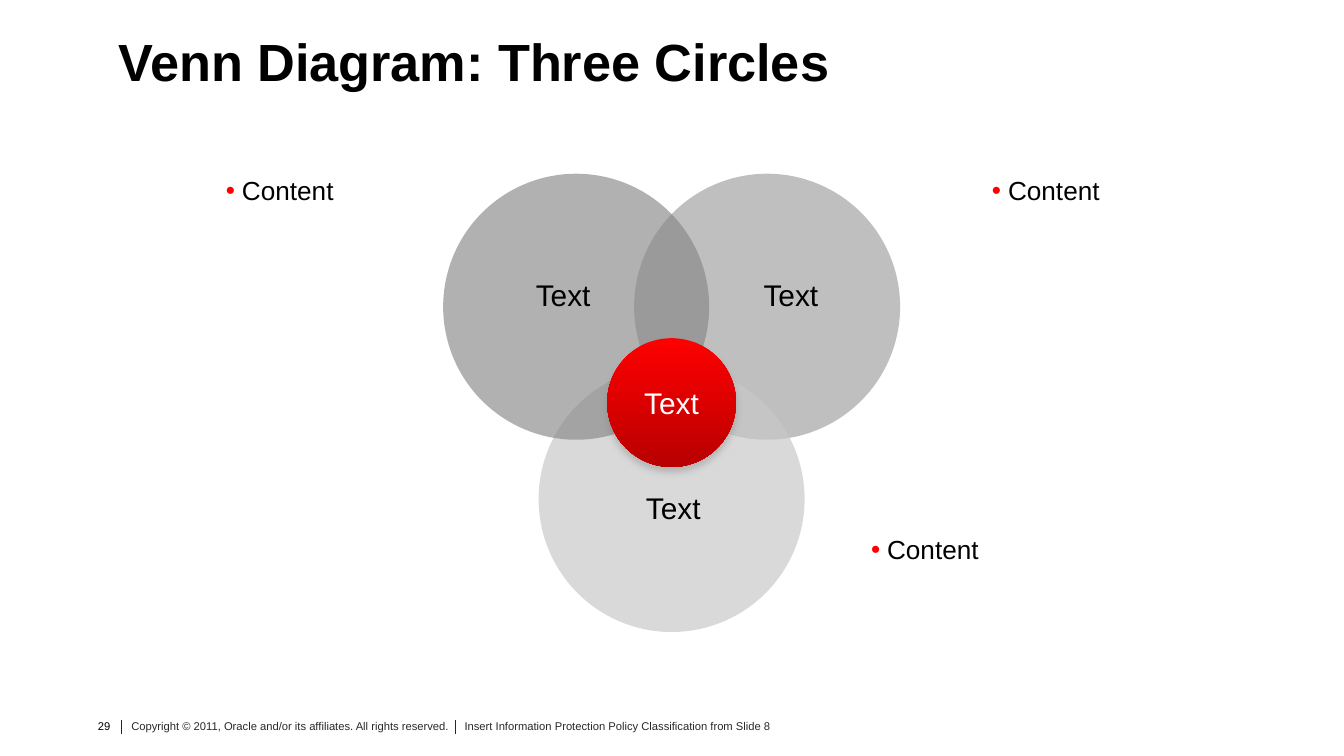
from lxml.etree import SubElement
from pptx import Presentation
from pptx.dml.color import RGBColor
from pptx.enum.shapes import MSO_CONNECTOR, MSO_SHAPE
from pptx.enum.text import MSO_ANCHOR, PP_ALIGN
from pptx.oxml.ns import qn
from pptx.util import Pt

# Content
TITLE = "Venn Diagram: Three Circles"
LEFT, TOP, SIZE = 237.4, 93.1, 142.5   # first circle
STEP, DROP = 102.3, 103                # offsets of the other circles
CORE = 69                              # centre disc
# column, row, colour, opacity %
CIRCLES = [
    (1, 0, "9D9D9D", 65),
    (0.5, 1, "C9C9C9", 69),
    (0, 0, "868686", 64),
]
# text, centre x, centre y
LABELS = [("Text", 360.7, 272.2), ("Text", 301.7, 157.7), ("Text", 423.7, 157.7)]
# text, left, top
NOTES = [("Content", 121, 93.6), ("Content", 531.4, 93.6), ("Content", 466.6, 285.8)]
# text, left, width, colour, alignment
FOOTER = [
    ("29", 40, 22, "000000", PP_ALIGN.RIGHT),
    ("Copyright © 2011, Oracle and/or its affiliates. All rights reserved.",
     67.5, 177, "292929", PP_ALIGN.LEFT),
    ("Insert Information Protection Policy Classification from Slide 8",
     246, 182, "292929", PP_ALIGN.LEFT),
]
BARS = [65, 243.8]


def color(code):
    return RGBColor.from_string(code)


def write(shape, text, size=16, ink="000000", bold=False, align=PP_ALIGN.LEFT,
          anchor=MSO_ANCHOR.TOP, pad=(0, 0), bullet=False):
    frame = shape.text_frame
    frame.word_wrap = True
    frame.vertical_anchor = anchor
    frame.margin_left = frame.margin_right = Pt(pad[0])
    frame.margin_top = frame.margin_bottom = Pt(pad[1])
    frame.text = text
    para = frame.paragraphs[0]
    para.alignment = align
    if bullet:
        props = para._p.get_or_add_pPr()
        props.set("marL", str(Pt(8.6)))
        props.set("indent", str(Pt(-8.6)))
        tint = SubElement(props, qn("a:buClr"))
        SubElement(tint, qn("a:srgbClr"), val="FF0000")
        SubElement(props, qn("a:buFont"), typeface="Arial")
        SubElement(props, qn("a:buChar"), char="•")
    font = para.font
    font.name, font.size, font.bold = "Arial", Pt(size), bold
    font.color.rgb = color(ink)


def add_box(left, top, width, height):
    return slide.shapes.add_textbox(Pt(left), Pt(top), Pt(width), Pt(height))


def add_disc(left, top, size):
    disc = slide.shapes.add_shape(MSO_SHAPE.OVAL, Pt(left), Pt(top), Pt(size), Pt(size))
    disc.shadow.inherit = False
    disc.line.fill.background()
    return disc


deck = Presentation()
deck.slide_width, deck.slide_height = Pt(720), Pt(405)
slide = deck.slides.add_slide(deck.slide_layouts[5])

# Title
title = slide.shapes.title
title.left, title.top, title.width, title.height = Pt(63.4), Pt(15.8), Pt(625.7), Pt(41.8)
write(title, TITLE, size=28, bold=True)

# Footer
for text, left, width, ink, align in FOOTER:
    write(add_box(left, 383.8, width, 17), text, size=6, ink=ink, align=align,
          pad=(2.9, 1.4))
for x in BARS:
    bar = slide.shapes.add_connector(MSO_CONNECTOR.STRAIGHT, Pt(x), Pt(386), Pt(x), Pt(393))
    bar.line.color.rgb = color("262626")
    bar.line.width = Pt(0.5)
    SubElement(bar._element.spPr, qn("a:effectLst"))

# Translucent circles
for col, row, code, alpha in CIRCLES:
    disc = add_disc(LEFT + col * STEP, TOP + row * DROP, SIZE)
    disc.fill.solid()
    disc.fill.fore_color.rgb = color(code)
    tint = disc._element.spPr.find(qn("a:solidFill"))[0]
    SubElement(tint, qn("a:alpha"), val=str(alpha * 1000))

# Circle labels and side notes
for text, x, y in LABELS:
    write(add_box(x - 52, y - 8, 104, 16), text, align=PP_ALIGN.CENTER,
          anchor=MSO_ANCHOR.MIDDLE)
for text, left, top in NOTES:
    write(add_box(left, top, 120, 34), text, size=14, bullet=True)

# Centre disc with gradient and soft shadow
core = add_disc(LEFT + (STEP + SIZE - CORE) / 2, 181.2, CORE)
core.fill.gradient()
core.fill.gradient_angle = 270
for stop, code, place in zip(core.fill.gradient_stops, ("FF0000", "B80000"), (0, 1)):
    stop.color.rgb = color(code)
    stop.position = place
effects = core._element.spPr.find(qn("a:effectLst"))
shade = SubElement(effects, qn("a:outerShdw"), blurRad=str(Pt(4)), dist=str(Pt(3)),
                   dir="5400000", rotWithShape="0")
tint = SubElement(shade, qn("a:srgbClr"), val="808080")
SubElement(tint, qn("a:alpha"), val="40000")
write(core, "Text", ink="FFFFFF", align=PP_ALIGN.CENTER, anchor=MSO_ANCHOR.MIDDLE,
      pad=(0, 3.6))

deck.save("out.pptx")
